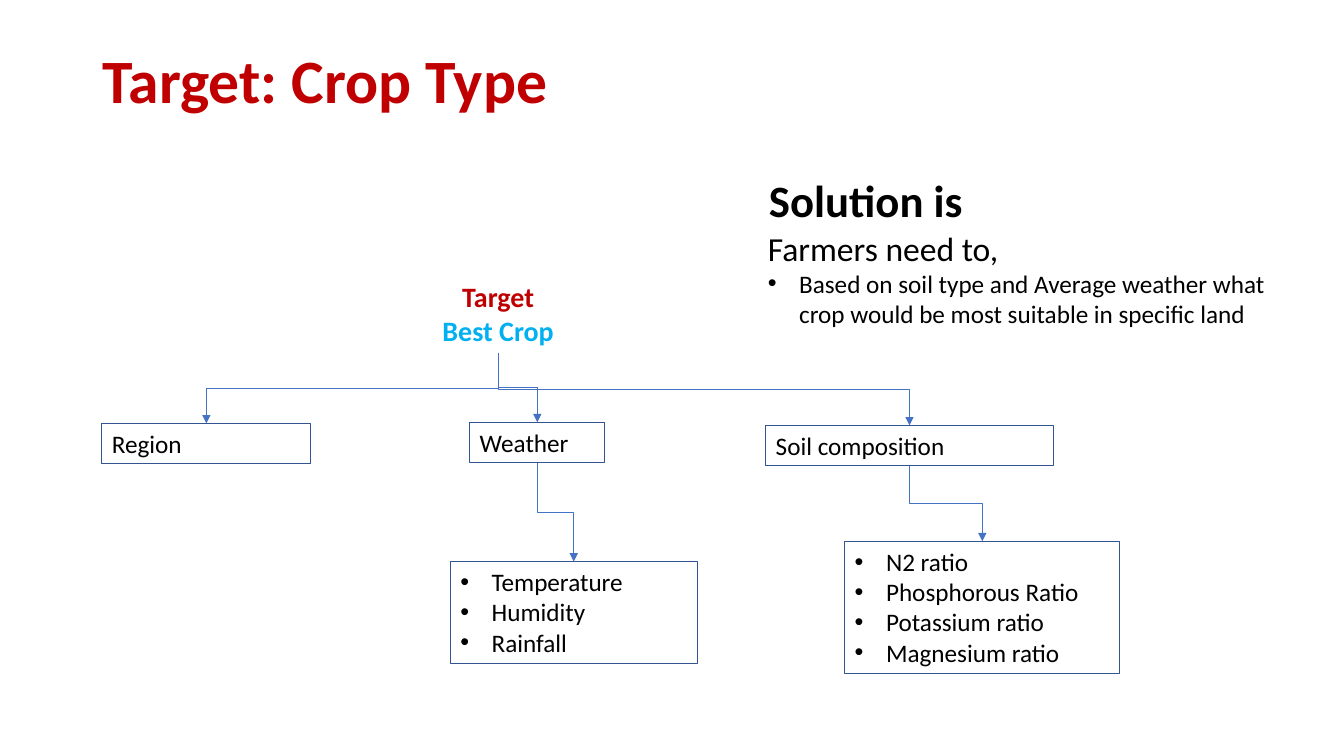
"""Build the crop type slide: a target tree with its factors and the solution text."""
import dataclasses

import lxml.etree
import pptx
import pptx.dml.color
import pptx.enum.shapes
import pptx.enum.text
import pptx.oxml.ns
import pptx.util

Cm = pptx.util.Cm
Pt = pptx.util.Pt
RGB = pptx.dml.color.RGBColor.from_string
ALIGN = pptx.enum.text.PP_ALIGN
qn = pptx.oxml.ns.qn


@dataclasses.dataclass(frozen=True)
class Theme:
    font: str = "Calibri"
    red: str = "C00000"
    cyan: str = "00B0F0"
    black: str = "000000"
    border: str = "325491"
    arrow: str = "4472C4"
    title: int = 44
    heading: int = 32
    lead: int = 24
    target: int = 20
    body: int = 18
    border_width: float = 0.75
    arrow_width: float = 0.5
    indent: float = 0.79


theme = Theme()


def write(tf, text, size=theme.body, color=theme.black, bold=False, align=ALIGN.LEFT, bullet=False):
    p = tf.paragraphs[0]
    if p.runs:
        p = tf.add_paragraph()
    p.alignment = align
    r = p.add_run()
    r.text = text
    r.font.name = theme.font
    r.font.size = Pt(size)
    r.font.bold = bold
    r.font.color.rgb = RGB(color)
    if bullet:
        pPr = p._p.get_or_add_pPr()
        pPr.set("marL", str(Cm(theme.indent)))
        pPr.set("indent", str(-Cm(theme.indent)))
        lxml.etree.SubElement(pPr, qn("a:buFont")).set("typeface", "Arial")
        lxml.etree.SubElement(pPr, qn("a:buChar")).set("char", "•")
    return p


prs = pptx.Presentation()
prs.slide_width, prs.slide_height = Cm(33.87), Cm(19.05)
s = prs.slides.add_slide(prs.slide_layouts[5])

title = s.shapes.title
title.left, title.top, title.width, title.height = Cm(2.34), Cm(1.02), Cm(29.21), Cm(2.16)
title.text_frame.vertical_anchor = pptx.enum.text.MSO_ANCHOR.MIDDLE
p = write(title.text_frame, "Target: Crop Type", size=theme.title, color=theme.red, bold=True)
p.line_spacing = 0.9

centred = {"size": theme.target, "bold": True, "align": ALIGN.CENTER}
texts = {
    "solution": ((19.13, 4.24, 7.82, 1.63), [
        ("Solution is", {"size": theme.heading, "bold": True})]),
    "need": ((19.1, 5.61, 14.2, 2.82), [
        ("Farmers need to,", {"size": theme.lead}),
        ("Based on soil type and Average weather what crop would be most suitable in specific land",
         {"bullet": True})]),
    "target": ((10.36, 6.93, 4.39, 1.96), [
        ("Target", {"color": theme.red, **centred}),
        ("Best Crop", {"color": theme.cyan, **centred})]),
}
nodes = {}
for name, (box, lines) in texts.items():
    sp = nodes[name] = s.shapes.add_textbox(*map(Cm, box))
    sp.text_frame.word_wrap = True
    for text, style in lines:
        write(sp.text_frame, text, **style)

boxes = {
    "weather": ((11.84, 10.64, 3.4, 1.02), ["Weather"]),
    "region": ((2.57, 10.67, 5.26, 1.02), ["Region"]),
    "soil": ((19.3, 10.72, 7.24, 1.02), ["Soil composition"]),
    "weather factors": ((11.35, 14.15, 6.22, 2.57), ["Temperature", "Humidity", "Rainfall"]),
    "soil factors": ((21.29, 13.64, 6.93, 3.33), [
        "N2 ratio", "Phosphorous Ratio", "Potassium ratio", "Magnesium ratio"]),
}
for name, (box, lines) in boxes.items():
    sp = nodes[name] = s.shapes.add_shape(pptx.enum.shapes.MSO_SHAPE.RECTANGLE, *map(Cm, box))
    sp.shadow.inherit = False
    sp.fill.background()
    sp.line.color.rgb = RGB(theme.border)
    sp.line.width = Pt(theme.border_width)
    sp.text_frame.word_wrap = True
    sp.text_frame.vertical_anchor = pptx.enum.text.MSO_ANCHOR.TOP
    for text in lines:
        write(sp.text_frame, text, bullet=len(lines) > 1)

links = [("target", "region"), ("target", "weather"), ("target", "soil"),
         ("weather", "weather factors"), ("soil", "soil factors")]
for parent, child in links:
    a, b = nodes[parent], nodes[child]
    x1, y1 = a.left + a.width // 2, a.top + a.height
    x2, y2 = b.left + b.width // 2, b.top
    mid_x, mid_y = (x1 + x2) // 2, (y1 + y2) // 2
    half_w, half_h = (x2 - x1) // 2, (y2 - y1) // 2
    side = 1 if half_w > 0 else -1
    cxn = s.shapes.add_connector(
        pptx.enum.shapes.MSO_CONNECTOR.ELBOW,
        mid_x + side * half_h, mid_y - abs(half_w),
        mid_x - side * half_h, mid_y + abs(half_w))
    cxn.line.color.rgb = RGB(theme.arrow)
    cxn.line.width = Pt(theme.arrow_width)
    spPr = cxn._element.spPr
    spPr.find(qn("a:xfrm")).set("rot", str((180 + 90 * side) * 60000))
    lxml.etree.SubElement(spPr.find(qn("a:ln")), qn("a:tailEnd")).set("type", "triangle")
    lxml.etree.SubElement(spPr, qn("a:effectLst"))

prs.save("out.pptx")
